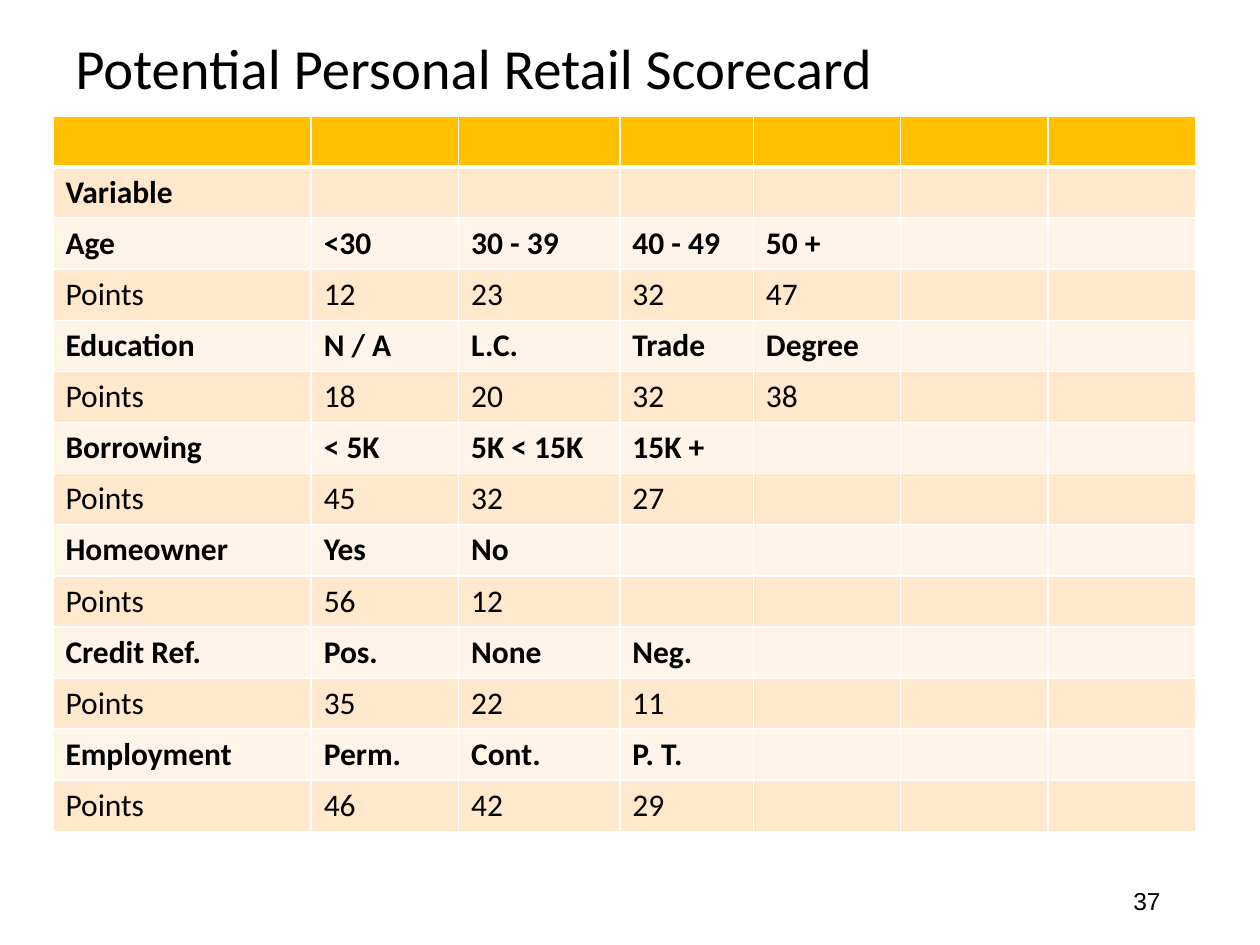
import dataclasses

import lxml.etree
import pptx
import pptx.dml.color
import pptx.enum.text
import pptx.oxml.ns
import pptx.util

Inches = pptx.util.Inches
Align = pptx.enum.text.PP_ALIGN

COLORS = {
    "text": "000000",
    "header": "FFC000",
    "dark_band": "FFE8CC",
    "light_band": "FFF4E7",
    "border": "FFFFFF",
}
COLUMN_WIDTHS = [2.05, 1.17, 1.28, 1.06, 1.17, 1.17, 1.17]
ROW_HEIGHT = 5.68 / 14


@dataclasses.dataclass
class Variable:
    name: str
    points: dict[str, int]


@dataclasses.dataclass
class Row:
    texts: list[str]
    fill: str
    bold: bool = False


VARIABLES = [
    Variable("Age", {"<30": 12, "30 - 39": 23, "40 - 49": 32, "50 +": 47}),
    Variable("Education", {"N / A": 18, "L.C.": 20, "Trade": 32, "Degree": 38}),
    Variable("Borrowing", {"< 5K": 45, "5K < 15K": 32, "15K +": 27}),
    Variable("Homeowner", {"Yes": 56, "No": 12}),
    Variable("Credit Ref.", {"Pos.": 35, "None": 22, "Neg.": 11}),
    Variable("Employment", {"Perm.": 46, "Cont.": 42, "P. T.": 29}),
]


def color(name: str) -> pptx.dml.color.RGBColor:
    return pptx.dml.color.RGBColor.from_string(COLORS[name])


def style_text(para, font: str, size: float, bold: bool = False) -> None:
    for span in para.runs:
        span.font.name = font
        span.font.size = pptx.util.Pt(size)
        span.font.bold = bold
        span.font.color.rgb = color("text")


def add_text(page, text: str, left: float, top: float, width: float, height: float,
             font: str, size: float, align: Align, spacing: float = 1.0) -> None:
    box = page.shapes.add_textbox(Inches(left), Inches(top), Inches(width), Inches(height))
    frame = box.text_frame
    frame.word_wrap = True
    frame.vertical_anchor = pptx.enum.text.MSO_ANCHOR.MIDDLE
    frame.text = text
    para = frame.paragraphs[0]
    para.alignment = align
    para.line_spacing = spacing
    style_text(para, font, size)


def set_borders(cell, top: float, bottom: float) -> None:
    qn = pptx.oxml.ns.qn
    properties = cell._tc.get_or_add_tcPr()
    for side, width in {"L": 1, "R": 1, "T": top, "B": bottom}.items():
        line = lxml.etree.SubElement(properties, qn(f"a:ln{side}"), w=str(pptx.util.Pt(width)))
        solid = lxml.etree.SubElement(line, qn("a:solidFill"))
        lxml.etree.SubElement(solid, qn("a:srgbClr"), val=COLORS["border"])


def scorecard_rows() -> list[Row]:
    rows = [Row([], "header"), Row(["Variable"], "dark_band", True)]
    for variable in VARIABLES:
        rows.append(Row([variable.name, *variable.points], "light_band", True))
        rows.append(Row(["Points", *map(str, variable.points.values())], "dark_band"))
    return rows


def add_scorecard(page, rows: list[Row], left: float, top: float) -> None:
    table = page.shapes.add_table(
        len(rows), len(COLUMN_WIDTHS), Inches(left), Inches(top),
        Inches(sum(COLUMN_WIDTHS)), Inches(ROW_HEIGHT * len(rows))).table
    table.first_row = table.horz_banding = False
    for column, width in zip(table.columns, COLUMN_WIDTHS):
        column.width = Inches(width)
    for index, row in enumerate(rows):
        table.rows[index].height = Inches(ROW_HEIGHT)
        for cell in table.rows[index].cells:
            # A thick rule separates the header from the body
            set_borders(cell, top=3 if index == 1 else 1, bottom=3 if index == 0 else 1)
            cell.fill.solid()
            cell.fill.fore_color.rgb = color(row.fill)
        for cell, text in zip(table.rows[index].cells, row.texts):
            cell.text_frame.text = text
            style_text(cell.text_frame.paragraphs[0], "Calibri", 18, row.bold)


deck = pptx.Presentation()
deck.slide_width, deck.slide_height = Inches(10), Inches(7.5)
page = deck.slides.add_slide(deck.slide_layouts[6])

# Title
add_text(page, "Potential Personal Retail Scorecard", 0.5, 0.3, 9, 0.53,
         "Calibri", 32.4, Align.LEFT, spacing=0.9)

# Scorecard
add_scorecard(page, scorecard_rows(), 0.42, 0.92)

# Page number
add_text(page, "37", 7.06, 6.95, 2.25, 0.4, "Arial", 14, Align.RIGHT)

deck.save("out.pptx")
